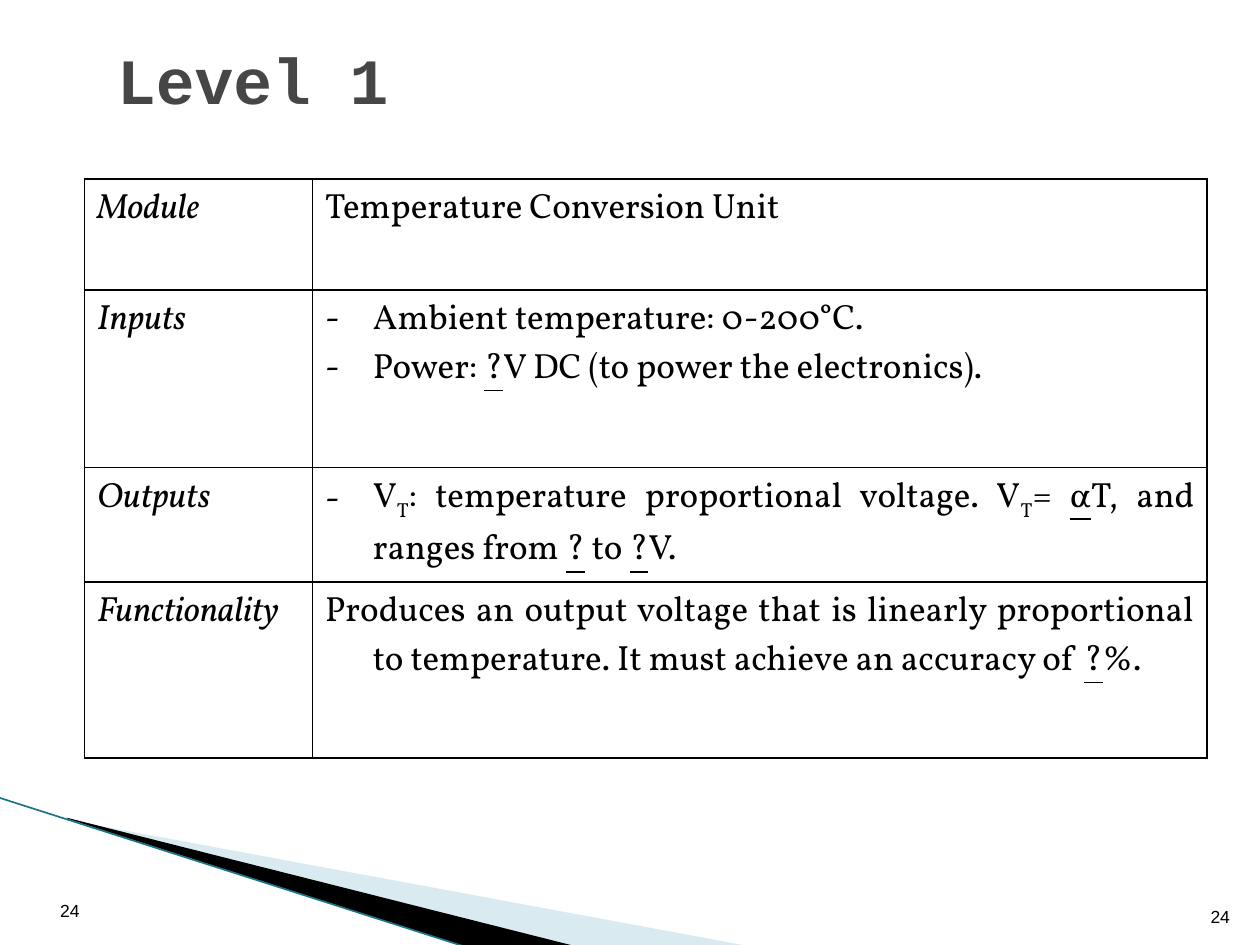
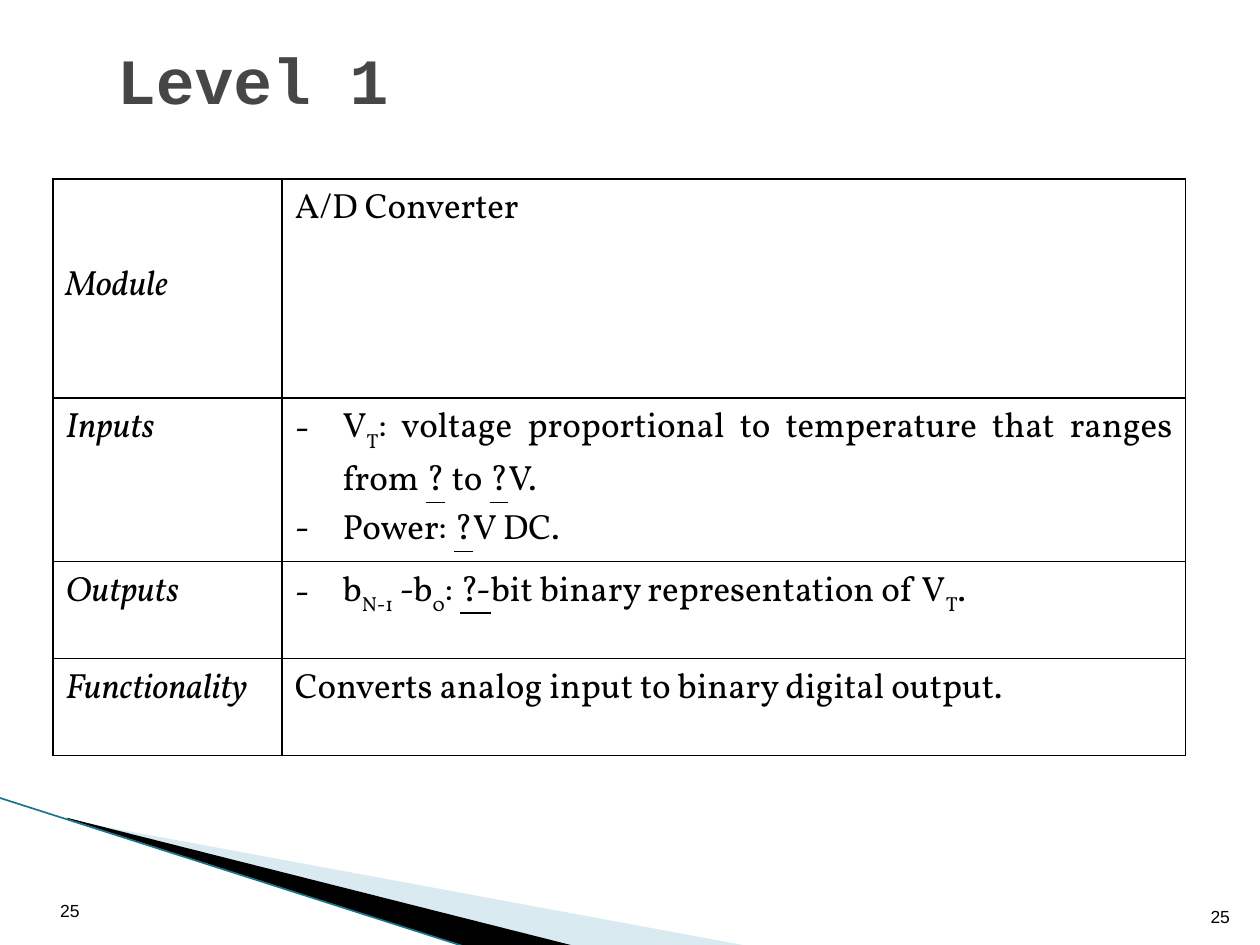
from dataclasses import dataclass

from lxml.etree import SubElement
from pptx import Presentation
from pptx.dml.color import RGBColor
from pptx.enum.shapes import MSO_CONNECTOR
from pptx.enum.text import MSO_ANCHOR, MSO_AUTO_SIZE, PP_ALIGN
from pptx.oxml import parse_xml
from pptx.oxml.ns import nsdecls, qn
from pptx.util import Inches, Pt

BLACK = "000000"
TITLE_GREY = "464646"
PALE_BLUE = "A0CBDC"
EDGE_TEAL = "1B7587"
TITLE_FONT, TABLE_FONT, NUMBER_FONT = "Courier New", "Vollkorn", "Arial"
HANGING_INDENT = 0.38
ROW_LABELS = ("Module", "Inputs", "Outputs", "Functionality")


@dataclass(frozen=True)
class Piece:
    """A stretch of text with one format."""
    text: str
    italic: bool = False
    underline: bool = False
    subscript: bool = False


@dataclass(frozen=True)
class Line:
    """One paragraph of a table cell."""
    pieces: tuple[Piece, ...]
    bullet: bool = False


@dataclass(frozen=True)
class ModuleSlide:
    number: int
    left: float
    column_widths: tuple[float, float]
    row_heights: tuple[float, ...]
    descriptions: tuple[tuple[Line, ...], ...]
    module_drop: float = 0


@dataclass(frozen=True)
class Wedge:
    """An outline in slide inches; its points may reach beyond its frame."""
    frame: tuple[float, float, float, float]
    points: tuple[tuple[float, float], ...]
    color: str
    opacity: int = 100


def open_value(text: str) -> Piece:
    """A value still to be decided, shown underlined."""
    return Piece(text, underline=True)


def subscript(text: str) -> Piece:
    return Piece(text, subscript=True)


def line(*parts: str | Piece, bullet: bool = False) -> Line:
    pieces = (Piece(part) if isinstance(part, str) else part for part in parts)
    return Line(tuple(pieces), bullet)


WEDGES = (
    Wedge((0.78, 5.47, 4.16, 1.58),
          ((0.55, 6.51), (5.95, 7.51), (4.56, 7.51), (0.55, 6.5)), PALE_BLUE, 40),
    Wedge((-0.06, 6.33, 4.16, 0.92),
          ((0.53, 6.49), (4.57, 7.51), (3.72, 7.52), (0.54, 6.5)), BLACK),
)
NUMBER_BOXES = ((0.09, 6.83, 0.64, 0.53), (9.46, 7.01, 0.4, 0.4))

SLIDES = (
    ModuleSlide(
        24, 0.67, (1.81, 7.1), (0.88, 1.41, 0.88, 1.4),
        (
            (line("Temperature Conversion Unit"),),
            (
                line("Ambient temperature: 0-200°C.", bullet=True),
                line("Power: ", open_value("?"), "V DC (to power the electronics).",
                     bullet=True),
            ),
            (
                line("V", subscript("T"), ": temperature proportional voltage. V",
                     subscript("T"), "= ", open_value("α"), "T, and ranges from ",
                     open_value("?"), " to ", open_value("?"), "V.", bullet=True),
            ),
            (
                line("Produces an output voltage that is linearly proportional to "
                     "temperature. It must achieve an accuracy of ",
                     open_value("?"), "%."),
            ),
        ),
    ),
    ModuleSlide(
        25, 0.42, (1.82, 7.17), (1.74, 1.23, 0.77, 0.77),
        (
            (line("A/D Converter"),),
            (
                line("V", subscript("T"),
                     ": voltage proportional to temperature that ranges from ",
                     open_value("?"), " to ", open_value("?"), "V.", bullet=True),
                line("Power: ", open_value("?"), "V DC.", bullet=True),
            ),
            (
                line("b", subscript("N-1"), " -b", subscript("0"), ": ",
                     open_value("?-"), "bit binary representation of V",
                     subscript("T"), ".", bullet=True),
            ),
            (line("Converts analog input to binary digital output."),),
        ),
        module_drop=0.61,
    ),
)


def rgb(color: str) -> RGBColor:
    return RGBColor.from_string(color)


def format_font(font, name: str, size: float, color: str) -> None:
    font.name = name
    font.size = Pt(size)
    font.color.rgb = rgb(color)


def set_frame(shape, frame: tuple[float, float, float, float]) -> None:
    """Give a freeform a new frame while its outline stays in place."""
    left, top, width, height = map(Inches, frame)
    shift_x, shift_y = shape.left - left, shape.top - top
    for point in shape._element.iter(qn("a:pt")):
        point.set("x", str(int(point.get("x")) + shift_x))
        point.set("y", str(int(point.get("y")) + shift_y))
    outline = shape._element.find(f".//{qn('a:pathLst')}")[0]
    outline.set("w", str(width))
    outline.set("h", str(height))
    shape.left, shape.top, shape.width, shape.height = left, top, width, height


def draw_wedge(slide, wedge: Wedge) -> None:
    points = [(Inches(x), Inches(y)) for x, y in wedge.points]
    builder = slide.shapes.build_freeform(*points[0])
    builder.add_line_segments(points[1:], close=True)
    shape = builder.convert_to_shape()
    set_frame(shape, wedge.frame)
    shape.shadow.inherit = False
    shape.line.fill.background()
    shape.fill.solid()
    shape.fill.fore_color.rgb = rgb(wedge.color)
    if wedge.opacity < 100:
        color = shape._element.spPr.find(f".//{qn('a:srgbClr')}")
        SubElement(color, qn("a:alpha"), val=str(wedge.opacity * 1000))


def draw_corner(slide) -> None:
    for wedge in WEDGES:
        draw_wedge(slide, wedge)
    edge = slide.shapes.add_connector(
        MSO_CONNECTOR.STRAIGHT, Inches(-0.01), Inches(6.33), Inches(3.71), Inches(7.52))
    edge.line.color.rgb = rgb(EDGE_TEAL)
    edge.line.width = Pt(0.95)
    SubElement(edge._element.spPr, qn("a:effectLst"))


def set_title(slide, text: str) -> None:
    title = slide.shapes.title
    title.left, title.top = Inches(0.83), Inches(0.25)
    title.width, title.height = Inches(8.67), Inches(0.75)
    frame = title.text_frame
    frame.text = text
    frame.auto_size = MSO_AUTO_SIZE.NONE
    frame.vertical_anchor = MSO_ANCHOR.MIDDLE
    paragraph = frame.paragraphs[0]
    paragraph.alignment = PP_ALIGN.LEFT
    font = paragraph.runs[0].font
    format_font(font, TITLE_FONT, 36.9, TITLE_GREY)
    font.bold = True


def draw_numbers(slide, number: int) -> None:
    for box in NUMBER_BOXES:
        frame = slide.shapes.add_textbox(*map(Inches, box)).text_frame
        frame.word_wrap = True
        frame.vertical_anchor = MSO_ANCHOR.BOTTOM
        frame.text = str(number)
        paragraph = frame.paragraphs[0]
        paragraph.alignment = PP_ALIGN.RIGHT
        format_font(paragraph.runs[0].font, NUMBER_FONT, 10, BLACK)


def add_borders(cell) -> None:
    properties = cell._tc.get_or_add_tcPr()
    for index, side in enumerate("LRTB"):
        properties.insert(index, parse_xml(
            f'<a:ln{side} {nsdecls("a")} w="{Pt(1)}"><a:solidFill>'
            f'<a:srgbClr val="{BLACK}"/></a:solidFill></a:ln{side}>'))


def write_line(paragraph, content: Line) -> None:
    paragraph.alignment = PP_ALIGN.JUSTIFY
    properties = paragraph._p.get_or_add_pPr()
    properties.set("marL", str(Inches(HANGING_INDENT)))
    properties.set("indent", str(-Inches(HANGING_INDENT)))
    if content.bullet:
        SubElement(properties, qn("a:buFont"), typeface=TABLE_FONT)
        SubElement(properties, qn("a:buChar"), char="-")
    for piece in content.pieces:
        run = paragraph.add_run()
        run.text = piece.text
        format_font(run.font, TABLE_FONT, 20, BLACK)
        run.font.italic = piece.italic
        run.font.underline = piece.underline
        if piece.subscript:
            run.font._element.set("baseline", "-30000")


def fill_cell(cell, lines: tuple[Line, ...]) -> None:
    cell.fill.background()
    add_borders(cell)
    frame = cell.text_frame
    for index, content in enumerate(lines):
        paragraph = frame.add_paragraph() if index else frame.paragraphs[0]
        write_line(paragraph, content)


def draw_table(slide, module: ModuleSlide) -> None:
    table = slide.shapes.add_table(
        len(ROW_LABELS), 2, Inches(module.left), Inches(1.42),
        Inches(sum(module.column_widths)), Inches(sum(module.row_heights))).table
    table.first_row = table.horz_banding = False
    for column, width in zip(table.columns, module.column_widths):
        column.width = Inches(width)
    for row, height, label, description in zip(
            table.rows, module.row_heights, ROW_LABELS, module.descriptions):
        row.height = Inches(height)
        fill_cell(row.cells[0], (line(Piece(label, italic=True)),))
        fill_cell(row.cells[1], description)
    table.cell(0, 0).margin_top = Inches(0.05 + module.module_drop)


def main() -> None:
    presentation = Presentation()
    presentation.slide_width, presentation.slide_height = Inches(10), Inches(7.5)
    title_only = presentation.slide_layouts[5]
    for module in SLIDES:
        slide = presentation.slides.add_slide(title_only)
        draw_corner(slide)
        set_title(slide, "Level 1")
        draw_table(slide, module)
        draw_numbers(slide, module.number)
    presentation.save("out.pptx")


if __name__ == "__main__":
    main()
